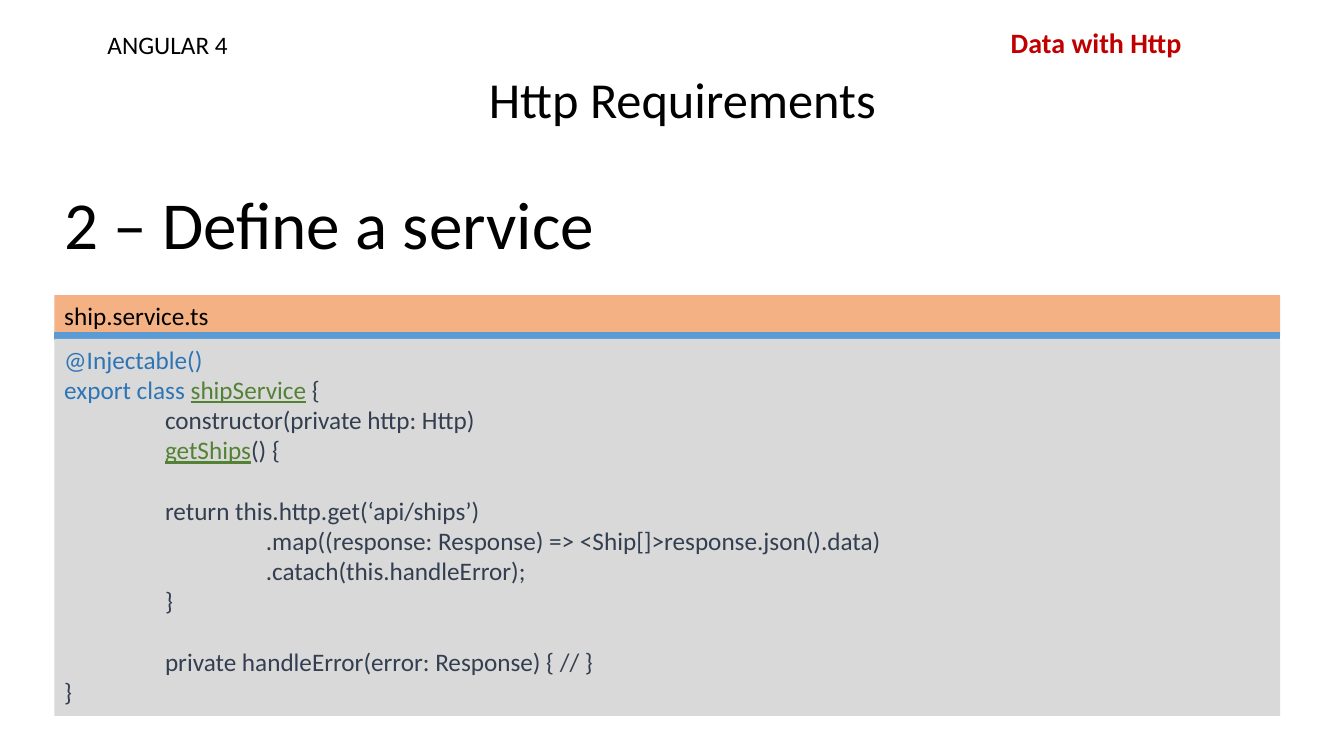
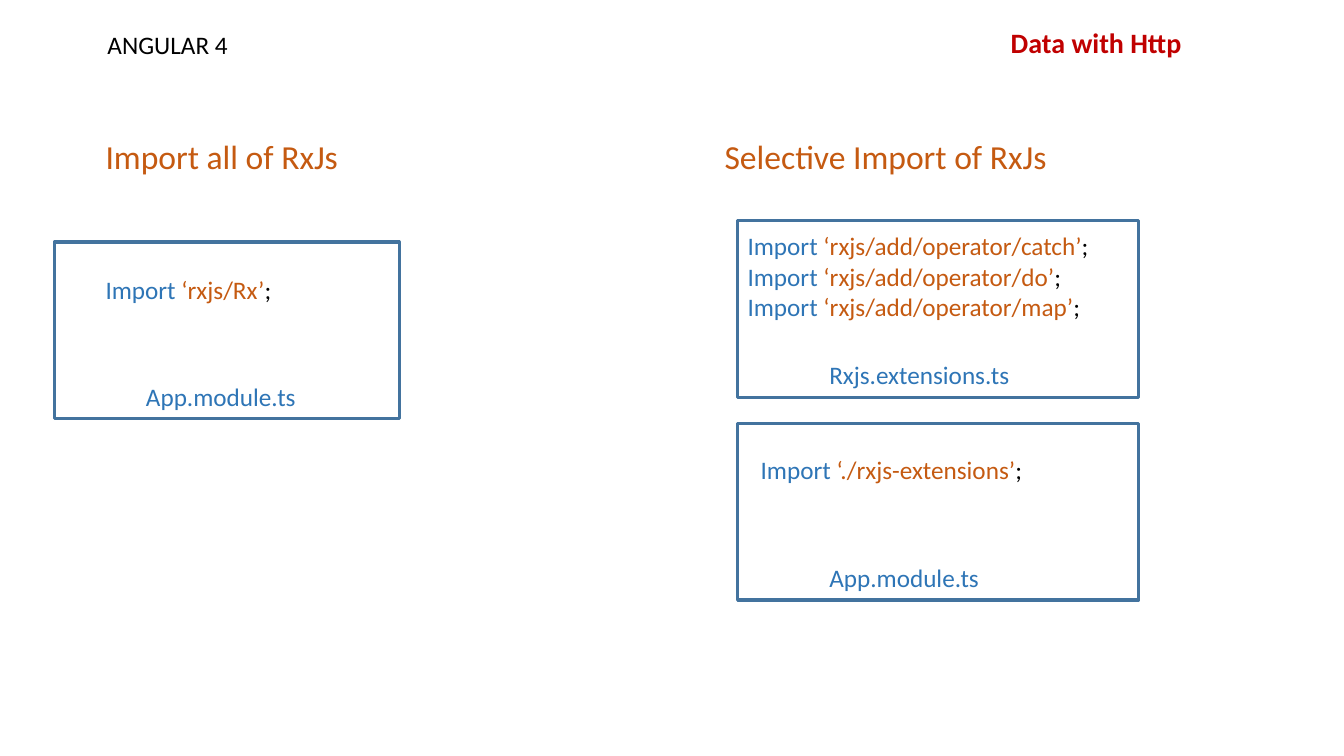
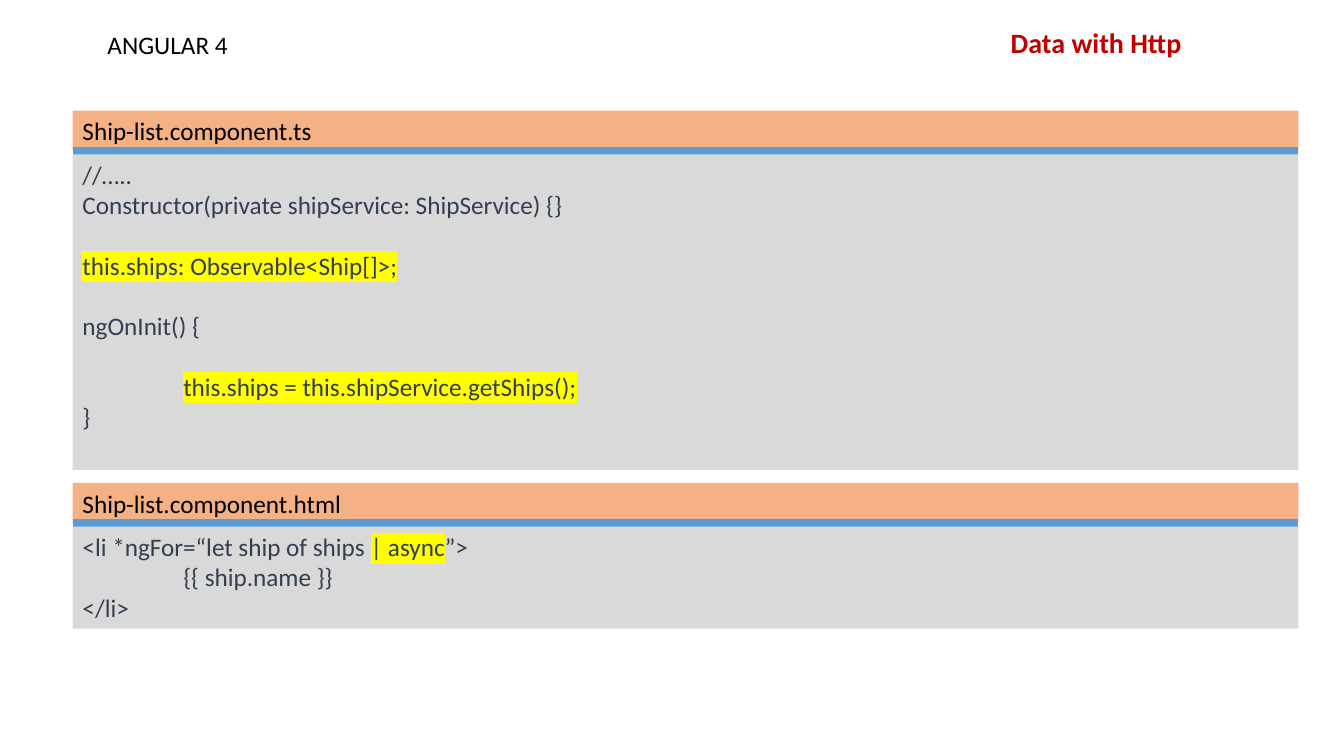
from dataclasses import dataclass
from typing import Optional

from lxml import etree
from pptx import Presentation
from pptx import util as u
from pptx.dml import color as dml
from pptx.enum import shapes, text
from pptx.oxml import ns

FONT = "Calibri"
COLORS = {
    "black": "000000",
    "red": "C00000",
    "blue": "2E75B6",
    "green": "548235",
    "slate": "333F50",
    "rust": "C55A11",
    "peach": "F4B183",
    "gray": "D9D9D9",
    "rule": "5B9BD5",
    "frame": "43739E",
    "yellow": "FFFF00",
}
CODE_SIZE = 18
LINE_HEIGHT = u.Pt(21.6)
INDENT = u.Cm(2.54)
PANEL_WIDTH = 30.89
BAR_HEIGHT = 1.02
CODE_OFFSET = 1.1
CARD_HEIGHT = 4.45


@dataclass
class Span:
    text: str
    color: Optional[str] = None
    underline: bool = False
    highlight: bool = False


@dataclass
class Line:
    spans: list[Span]
    indent: int = 0
    gap: bool = False  # one empty line above


@dataclass
class Panel:
    left: float
    top: float
    code_height: float
    file_name: str
    lines: list[Line]


@dataclass
class Card:
    left: float
    top: float
    width: float
    file_name: str
    code_left: float
    code_top: float
    imports: list[str]


def rgb(name: str) -> dml.RGBColor:
    return dml.RGBColor.from_string(COLORS[name])


def plain(words: str, indent: int = 0, gap: bool = False) -> Line:
    return Line([Span(words)], indent, gap)


def import_line(module: str) -> Line:
    return Line([Span("Import ", "blue"), Span(f"‘{module}’", "rust"), Span(";", "black")])


def write_lines(box, lines: list[Line], color: str, size: int = CODE_SIZE,
                bold: bool = False, wrap: bool = True) -> None:
    frame = box.text_frame
    frame.word_wrap = wrap
    frame.vertical_anchor = text.MSO_ANCHOR.TOP
    for index, line in enumerate(lines):
        para = frame.add_paragraph() if index else frame.paragraphs[0]
        para.alignment = text.PP_ALIGN.LEFT
        para.font.name, para.font.size, para.font.bold = FONT, u.Pt(size), bold
        para.font.color.rgb = rgb(color)
        if line.gap:
            para.space_before = LINE_HEIGHT
        if line.indent:
            para._p.get_or_add_pPr().set("marL", str(INDENT * line.indent))
        for span in line.spans:
            write_span(para, span, color, size, bold)


def write_span(para, span: Span, color: str, size: int, bold: bool) -> None:
    run = para.add_run()
    run.text = span.text
    run.font.size, run.font.bold = u.Pt(size), bold
    run.font.color.rgb = rgb(span.color or color)
    if span.underline:
        run.font.underline = True
    if span.highlight:
        mark = etree.Element(ns.qn("a:highlight"))
        etree.SubElement(mark, ns.qn("a:srgbClr"), val=COLORS["yellow"])
        run.font._element.find(ns.qn("a:solidFill")).addnext(mark)


def add_text(page, left: float, top: float, width: float, height: float,
             lines: list[Line], color: str, size: int = CODE_SIZE,
             bold: bool = False, wrap: bool = True) -> None:
    box = page.shapes.add_textbox(u.Cm(left), u.Cm(top), u.Cm(width), u.Cm(height))
    write_lines(box, lines, color, size, bold, wrap)


def add_rect(page, left: float, top: float, width: float, height: float,
             fill: Optional[str] = None):
    box = page.shapes.add_shape(shapes.MSO_SHAPE.RECTANGLE, u.Cm(left), u.Cm(top),
                                u.Cm(width), u.Cm(height))
    box.shadow.inherit = False
    if fill:
        box.fill.solid()
        box.fill.fore_color.rgb = rgb(fill)
        box.line.fill.background()
    else:
        box.fill.background()
        box.line.color.rgb = rgb("frame")
        box.line.width = u.Pt(2.25)
    return box


def add_panel(page, panel: Panel) -> None:
    """Draw a file name bar, a rule and a block of code."""
    bar = add_rect(page, panel.left, panel.top, PANEL_WIDTH, BAR_HEIGHT, "peach")
    write_lines(bar, [plain(panel.file_name)], "black")
    rule_top = u.Cm(panel.top + BAR_HEIGHT)
    rule = page.shapes.add_connector(shapes.MSO_CONNECTOR.STRAIGHT, u.Cm(panel.left), rule_top,
                                     u.Cm(panel.left + PANEL_WIDTH), rule_top)
    rule.line.color.rgb = rgb("rule")
    rule.line.width = u.Pt(6)
    etree.SubElement(rule._element.spPr, ns.qn("a:effectLst"))
    code = add_rect(page, panel.left, panel.top + CODE_OFFSET, PANEL_WIDTH,
                    panel.code_height, "gray")
    write_lines(code, panel.lines, "slate")


def add_card(page, card: Card) -> None:
    """Draw a framed list of imports with its file name below."""
    add_rect(page, card.left, card.top, card.width, CARD_HEIGHT)
    add_text(page, card.code_left, card.code_top, card.width, BAR_HEIGHT,
             [import_line(module) for module in card.imports], "black")
    add_text(page, card.left + 2.06, card.top + 3.38, 5.2, BAR_HEIGHT,
             [plain(card.file_name)], "blue")


def add_page(deck):
    """Add a blank page with the shared header."""
    page = deck.slides.add_slide(deck.slide_layouts[6])
    add_text(page, 2.46, 0.61, 3.56, BAR_HEIGHT, [plain("ANGULAR 4")], "black")
    add_text(page, 25.22, 0.51, 4.85, 1.12, [plain("Data with Http")], "red", 20,
             bold=True, wrap=False)
    return page


SERVICE = Panel(1.37, 7.44, 9.5, "ship.service.ts", [
    Line([Span("@Injectable()", "blue")]),
    Line([Span("export class ", "blue"), Span("shipService", "green", underline=True),
          Span(" {")]),
    plain("constructor(private http: Http)", 1),
    Line([Span("getShips", "green", underline=True), Span("() {")], 1),
    plain("return this.http.get(‘api/ships’)", 1, gap=True),
    plain(".map((response: Response) => <Ship[]>response.json().data)", 2),
    plain(".catach(this.handleError);", 2),
    plain("}", 1),
    plain("private handleError(error: Response) { // }", 1, gap=True),
    plain("}"),
])

HEADINGS = {2.41: "Import all of RxJs", 18.01: "Selective Import of RxJs"}
CARDS = [
    Card(1.37, 6.1, 8.69, "App.module.ts", 2.41, 6.78, ["rxjs/Rx"]),
    Card(18.59, 5.56, 10.11, "Rxjs.extensions.ts", 18.59, 5.69,
         [f"rxjs/add/operator/{name}" for name in ("catch", "do", "map")]),
    Card(18.59, 10.67, 10.11, "App.module.ts", 18.92, 11.33, ["./rxjs-extensions"]),
]

COMPONENT = [
    Panel(1.83, 2.79, 7.95, "Ship-list.component.ts", [
        plain("//….."),
        plain("Constructor(private shipService: ShipService) {}"),
        Line([Span("this.ships: Observable<Ship[]>;", highlight=True)], gap=True),
        plain("ngOnInit() {", gap=True),
        Line([Span("this.ships = this.shipService.getShips();", highlight=True)], 1, gap=True),
        plain("}"),
    ]),
    Panel(1.83, 12.17, 2.57, "Ship-list.component.html", [
        Line([Span("<li *ngFor=“let ship of ships "), Span("| async", highlight=True),
              Span("”>")]),
        plain("{{ ship.name }}", 1),
        plain("</li>"),
    ]),
]


def main() -> None:
    deck = Presentation()
    deck.slide_width, deck.slide_height = u.Cm(33.87), u.Cm(19.05)

    # Service definition
    page = add_page(deck)
    add_text(page, 12.07, 1.6, 10.64, 1.8, [plain("Http Requirements")], "black", 36)
    add_text(page, 1.37, 4.47, 14.78, 2.31, [plain("2 – Define a service")], "black", 48)
    add_panel(page, SERVICE)

    # Full and selective imports
    page = add_page(deck)
    for left, heading in HEADINGS.items():
        add_text(page, left, 3.3, 14.43, 1.27, [plain(heading)], "rust", 24)
    for card in CARDS:
        add_card(page, card)

    # Component and template
    page = add_page(deck)
    for panel in COMPONENT:
        add_panel(page, panel)

    deck.save("out.pptx")


if __name__ == "__main__":
    main()
